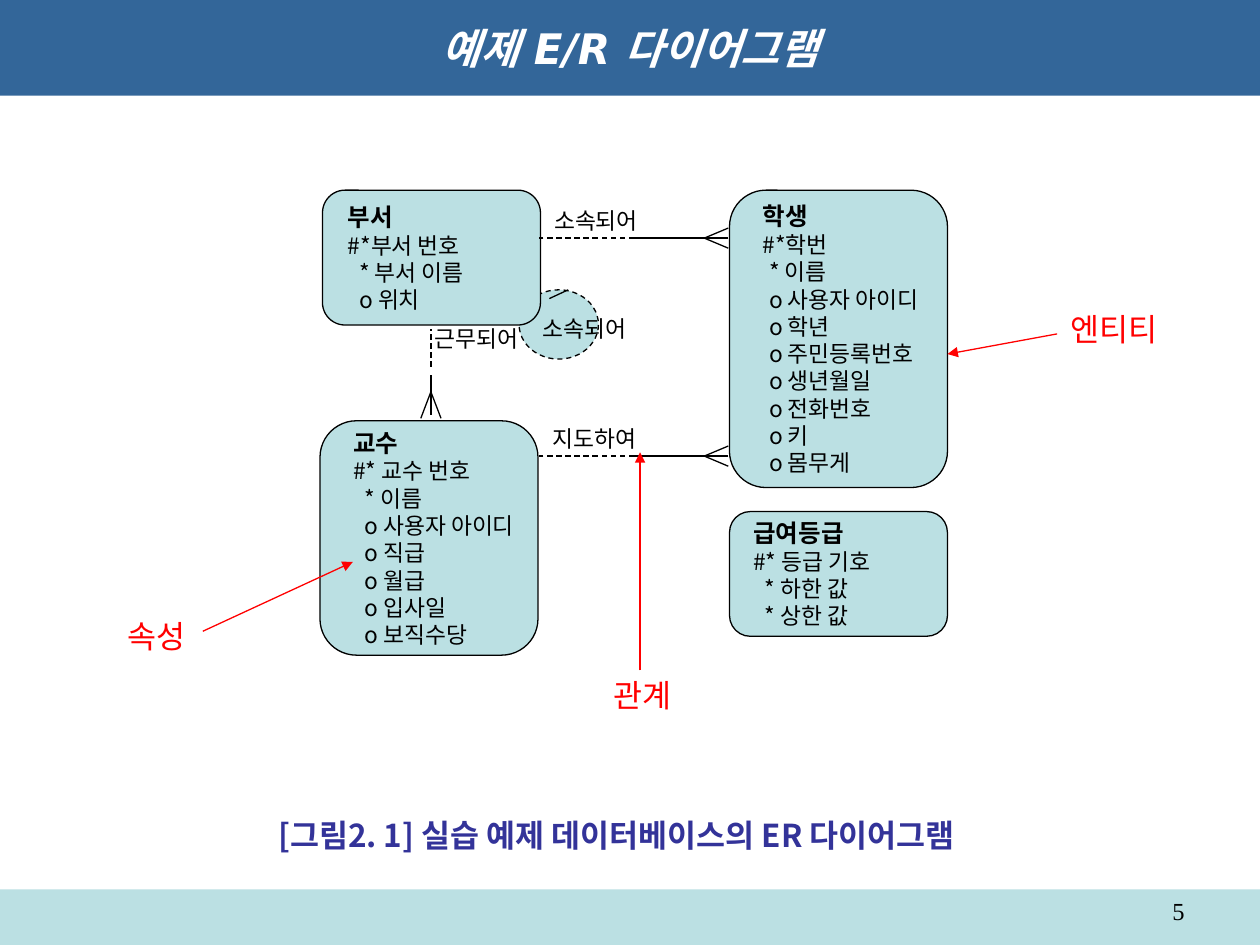
from lxml.etree import SubElement
from pptx import Presentation
from pptx.dml.color import RGBColor
from pptx.enum.dml import MSO_LINE_DASH_STYLE as Dash
from pptx.enum.shapes import MSO_CONNECTOR as Connector, MSO_SHAPE as Shape
from pptx.enum.text import MSO_ANCHOR as Anchor, PP_ALIGN as Align
from pptx.oxml.ns import qn
from pptx.util import Inches, Pt

SANS = "Noto Sans CJK KR"
BLACK, WHITE, RED, NAVY = "000000", "FFFFFF", "FF0000", "333399"
BLUE, PALE = "336699", "BBE0E3"
LINE_WIDTH = Pt(0.75)
LINE_RATIO = 1.2
CORNER = 0.167


def color(value):
    return RGBColor.from_string(value)


def set_all(target, values):
    for name, value in values.items():
        setattr(target, name, value)


def write(para, text, size, ink=BLACK, face=SANS, **style):
    """Fill a paragraph with one run, using the face for Latin and Korean."""
    para.line_spacing = Pt(round(size * LINE_RATIO, 1))
    span = para.add_run()
    span.text = text
    set_all(span.font, {"name": face, "size": Pt(size), **style})
    span.font.color.rgb = color(ink)
    east_asian = SubElement(span.font._element, qn("a:ea"))
    east_asian.set("typeface", face)


def add_block(page, kind, place, fill, line=None, dash=None):
    block = page.shapes.add_shape(kind, *map(Inches, place))
    block.shadow.inherit = False
    block.fill.solid()
    block.fill.fore_color.rgb = color(fill)
    if line:
        block.line.color.rgb = color(line)
        set_all(block.line, {"width": LINE_WIDTH, "dash_style": dash})
    else:
        block.line.fill.background()
    return block


def add_label(page, place, text, size, ink=BLACK, face=SANS,
              align=Align.LEFT, wrap=False, **style):
    box = page.shapes.add_textbox(*map(Inches, place))
    box.text_frame.word_wrap = wrap
    para = box.text_frame.paragraphs[0]
    para.alignment = align
    write(para, text, size, ink, face, **style)


def add_line(page, start, end, ink=BLACK, dash=None, arrow=False):
    line = page.shapes.add_connector(
        Connector.STRAIGHT, *map(Inches, (*start, *end)))
    line.line.color.rgb = color(ink)
    set_all(line.line, {"width": LINE_WIDTH, "dash_style": dash})
    if arrow:
        SubElement(line.line._get_or_add_ln(), qn("a:tailEnd"), type="triangle")
    SubElement(line._element.spPr, qn("a:effectLst"))


def add_entity(page, place, inset, indent, name, key, attributes):
    """Draw an entity: bold name, key row, then indented attribute rows."""
    entity = add_block(page, Shape.ROUNDED_RECTANGLE, place, PALE, BLACK)
    entity.adjustments[0] = CORNER
    frame = entity.text_frame
    set_all(frame, {"word_wrap": True, "vertical_anchor": Anchor.MIDDLE,
                    "margin_left": Inches(inset), "margin_right": 0})
    for number, text in enumerate([name, key, *attributes]):
        para = frame.add_paragraph() if number else frame.paragraphs[0]
        para.alignment = Align.LEFT
        if number > 1:
            para._p.get_or_add_pPr().set("marL", str(Inches(indent)))
        write(para, text, 13 if number else 14, bold=number == 0)


def add_relation(page, y):
    """Draw a one-to-many line, dashed on the left, with a crow's foot."""
    left, middle, foot, right = 4.28, 5.03, 5.59, 5.78
    add_line(page, (right, y), (middle, y))
    for spread in (-0.08, 0.08):
        add_line(page, (foot, y), (right, y + spread))
    add_line(page, (middle, y), (left, y), dash=Dash.DASH)


def add_vertical_relation(page):
    x, foot, bottom = 3.42, 3.11, 3.32
    for spread in (-0.08, 0.08):
        add_line(page, (x, foot), (x + spread, bottom))
    add_line(page, (x, 3.29), (x, 2.98))
    add_line(page, (x, 2.91), (x, 2.61), dash=Dash.DASH)


def main():
    deck = Presentation()
    set_all(deck, {"slide_width": Inches(10), "slide_height": Inches(7.5)})
    page = deck.slides.add_slide(deck.slide_layouts[6])

    add_block(page, Shape.RECTANGLE, (0, 7.06, 10, 0.44), PALE)
    header = add_block(page, Shape.RECTANGLE, (0, 0, 10, 0.76), BLUE)
    header.text_frame.vertical_anchor = Anchor.MIDDLE
    title = header.text_frame.paragraphs[0]
    title.alignment = Align.CENTER
    write(title, "예제 E/R 다이어그램", 24, WHITE, "DejaVu Sans",
          bold=True, italic=True)

    add_entity(page, (5.79, 1.51, 1.73, 2.36), 0.18, 0.05, "학생", "#*학번",
               ["* 이름", "o 사용자 아이디", "o 학년", "o 주민등록번호",
                "o 생년월일", "o 전화번호", "o 키", "o 몸무게"])
    add_entity(page, (2.54, 3.34, 1.73, 1.86), 0.18, 0.09, "교수",
               "#* 교수 번호",
               ["* 이름", "o 사용자 아이디", "o 직급", "o 월급",
                "o 입사일", "o 보직수당"])
    add_entity(page, (5.79, 4.06, 1.73, 0.99), 0.14, 0.09, "급여등급",
               "#* 등급 기호", ["* 하한 값", "* 상한 값"])

    add_block(page, Shape.OVAL, (4.12, 2.3, 0.63, 0.55), PALE, BLACK, Dash.DASH)
    add_entity(page, (2.56, 1.51, 1.73, 1.07), 0.15, 0.09, "부서",
               "#*부서 번호", ["* 부서 이름", "o 위치"])
    add_line(page, (4.36, 2.37), (4.51, 2.3))

    for y in (1.89, 3.62):
        add_relation(page, y)
    add_vertical_relation(page)
    for left, top, text in ((4.3, 1.59, "소속되어"), (3.35, 2.53, "근무되어"),
                            (4.21, 2.45, "소속되어"), (4.29, 3.32, "지도하여")):
        add_label(page, (left, top, 0.89, 0.32), text, 13)

    for place, text, start, end in (
            ((8.4, 2.41, 0.92, 0.4), "엔티티", (8.39, 2.65), (7.52, 2.81)),
            ((0.91, 4.85, 0.68, 0.4), "속성", (1.61, 5.01), (2.8, 4.46)),
            ((4.77, 5.32, 0.68, 0.4), "관계", (5.08, 5.32), (5.08, 3.59))):
        add_label(page, place, text, 18, RED)
        add_line(page, start, end, RED, arrow=True)

    add_label(page, (2.11, 6.43, 6.2, 0.4),
              "[그림2. 1] 실습 예제 데이터베이스의 ER 다이어그램", 18, NAVY, bold=True)
    add_label(page, (7.17, 7.06, 2.33, 0.29), "5", 14, face="Times New Roman",
              align=Align.RIGHT, wrap=True)
    deck.save("out.pptx")


if __name__ == "__main__":
    main()
